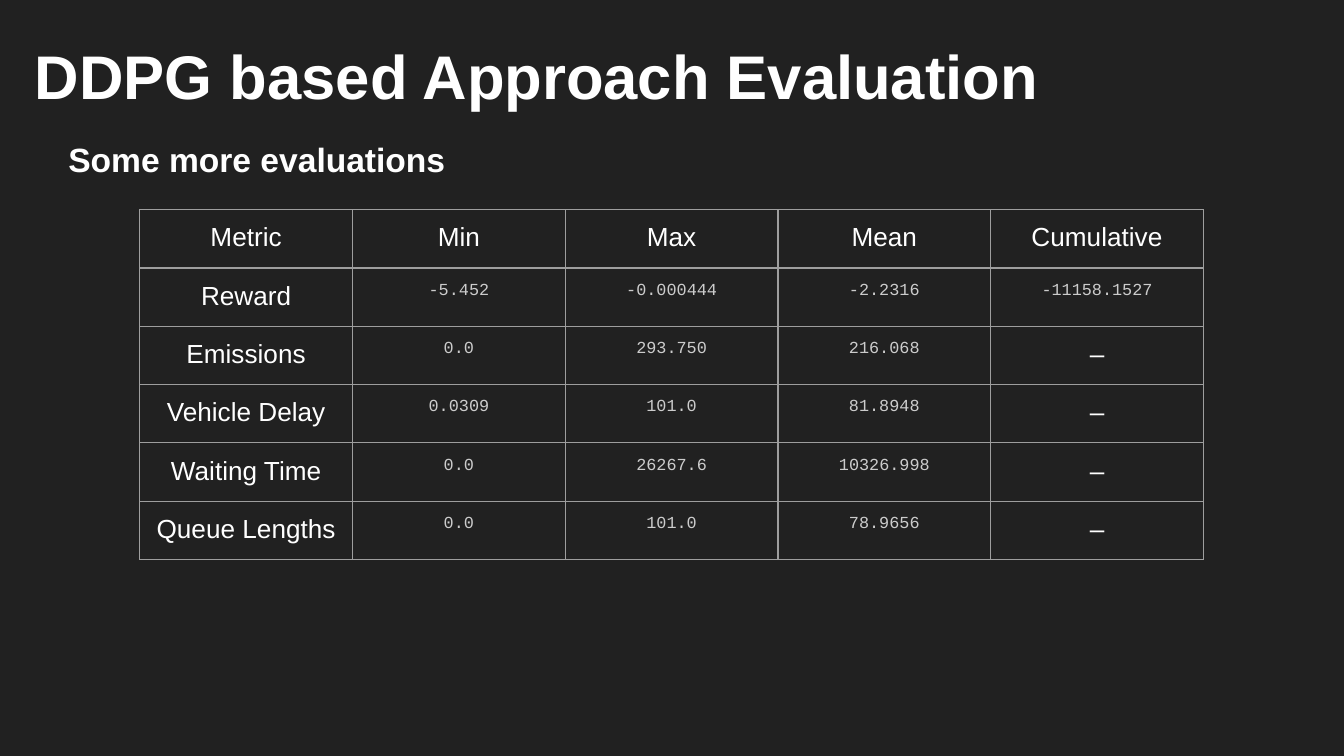
from lxml.etree import SubElement
from pptx import Presentation
from pptx.dml.color import RGBColor
from pptx.enum.text import MSO_ANCHOR, PP_ALIGN
from pptx.oxml.ns import qn
from pptx.util import Inches, Pt

DARK = RGBColor(0x21, 0x21, 0x21)
WHITE = RGBColor(0xFF, 0xFF, 0xFF)
PALE = RGBColor(0xCC, 0xCC, 0xCC)
GREY = RGBColor(0x9E, 0x9E, 0x9E)

ROWS = [
    ("Metric", "Min", "Max", "Mean", "Cumulative"),
    ("Reward", "-5.452", "-0.000444", "-2.2316", "-11158.1527"),
    ("Emissions", "0.0", "293.750", "216.068", "–"),
    ("Vehicle Delay", "0.0309", "101.0", "81.8948", "–"),
    ("Waiting Time", "0.0", "26267.6", "10326.998", "–"),
    ("Queue Lengths", "0.0", "101.0", "78.9656", "–"),
]


class Deck:
    """Style and current slide; lengths are cells of a 0.1 inch grid."""

    unit = Inches(0.1)
    inset = Inches(0.1)

    def __init__(self, wide, high):
        self.file = Presentation()
        self.file.slide_width = self.span(wide)
        self.file.slide_height = self.span(high)
        self.slide = self.file.slides.add_slide(self.file.slide_layouts[5])
        fill = self.slide.background.fill
        fill.solid()
        fill.fore_color.rgb = DARK

    def span(self, cells):
        return round(cells * self.unit)

    def place(self, shape, box):
        shape.left, shape.top, shape.width, shape.height = map(self.span, box)

    def put(self, frame, text, size, color=WHITE, face="Arial",
            bold=False, align=PP_ALIGN.LEFT):
        frame.text = text
        par = frame.paragraphs[0]
        par.alignment = align
        font = par.font
        font.name, font.size, font.bold = face, Pt(size), bold
        font.color.rgb = color
        return par

    def pad(self, item):
        item.margin_left = item.margin_right = self.inset
        item.margin_top = item.margin_bottom = self.inset

    def title(self, text, box):
        shape = self.slide.shapes.title
        self.place(shape, box)
        frame = shape.text_frame
        self.pad(frame)
        frame.vertical_anchor = MSO_ANCHOR.MIDDLE
        self.put(frame, text, 33, bold=True)

    def label(self, text, box):
        shape = self.slide.shapes.add_textbox(*map(self.span, box))
        frame = shape.text_frame
        frame.word_wrap = True
        self.pad(frame)
        self.put(frame, text, 18, bold=True).space_after = Pt(6)

    def border(self, cell):
        props = cell._tc.get_or_add_tcPr()
        for side in ("a:lnL", "a:lnR", "a:lnT", "a:lnB"):
            line = SubElement(props, qn(side), w=str(int(Pt(0.75))))
            fill = SubElement(line, qn("a:solidFill"))
            SubElement(fill, qn("a:srgbClr"), val=str(GREY))

    def table(self, rows, left, top, wide, high):
        count = len(rows[0])
        box = (left, top, wide * count, high * len(rows))
        table = self.slide.shapes.add_table(
            len(rows), count, *map(self.span, box)).table
        table.first_row = table.horz_banding = False
        for col in table.columns:
            col.width = self.span(wide)
        for r, row in enumerate(rows):
            table.rows[r].height = self.span(high)
            for c, text in enumerate(row):
                cell = table.cell(r, c)
                self.pad(cell)
                self.border(cell)
                cell.fill.background()
                # Measured values are small and monospaced
                value = r > 0 and c > 0 and text != "–"
                look = (9, PALE, "Courier New") if value else (14,)
                self.put(cell.text_frame, text, *look,
                         align=PP_ALIGN.CENTER)


def main():
    deck = Deck(100, 56.25)
    # Headings
    deck.title("DDPG based Approach Evaluation", (1.6, 0, 97.3, 11.1))
    deck.label("Some more evaluations", (4.1, 9.3, 94.8, 46.9))
    # Metrics
    deck.table(ROWS, left=10.4, top=15.6, wide=15.83, high=4.19)
    deck.file.save("out.pptx")


if __name__ == "__main__":
    main()
